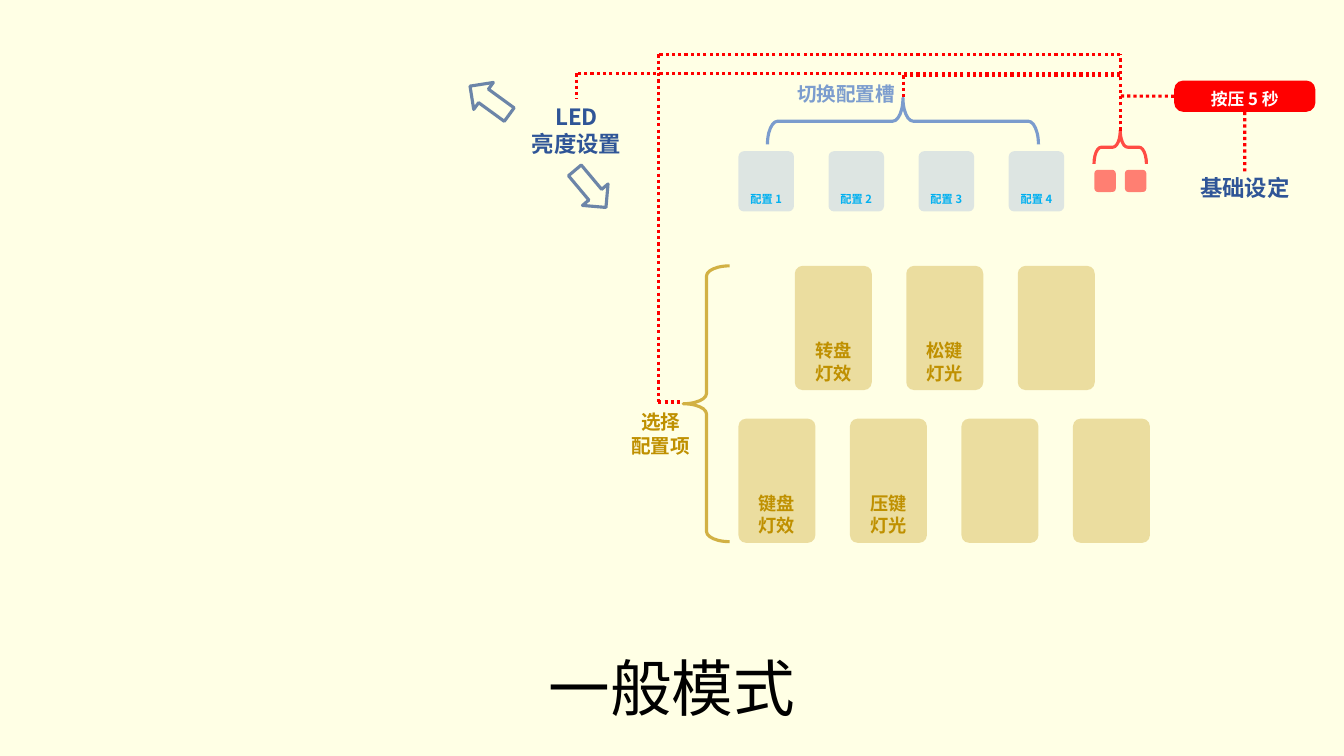
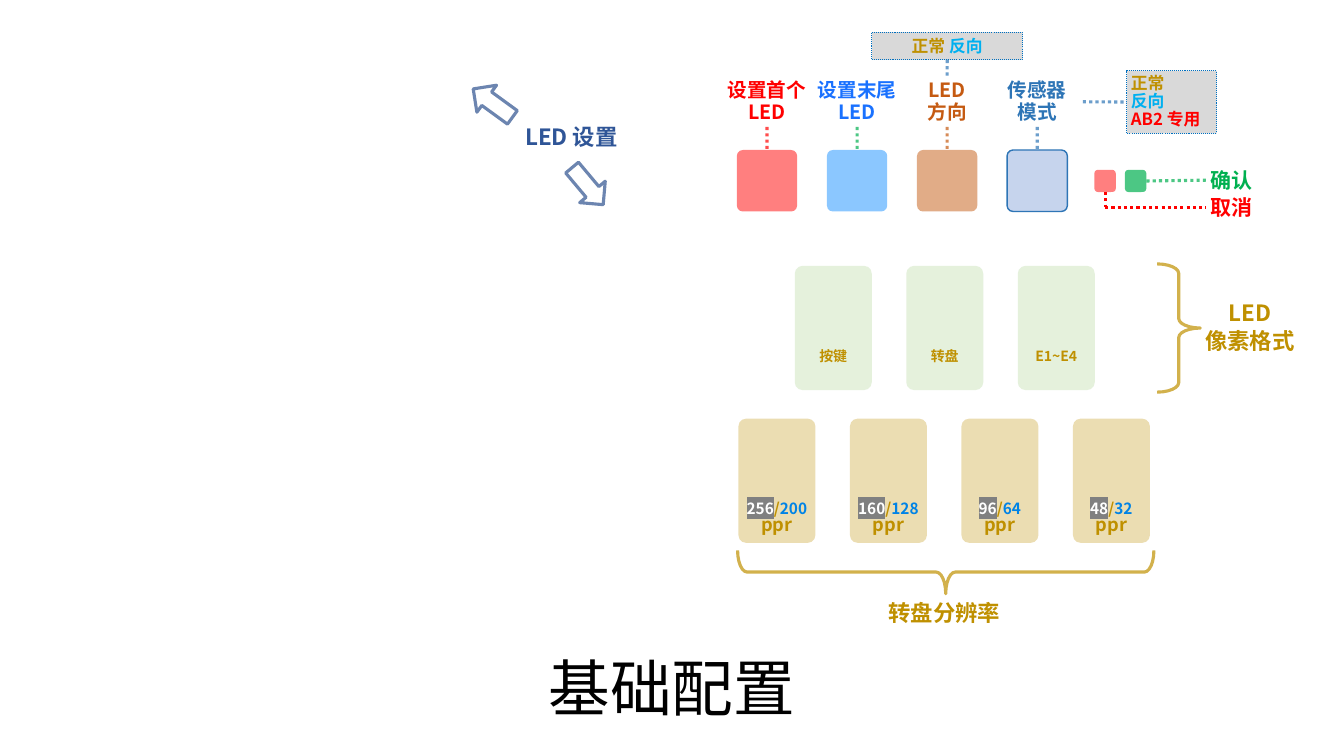
"""Build two slides explaining the keys of a controller: normal mode and basic setup."""
from itertools import pairwise

from lxml import etree
from pptx import Presentation
from pptx import util as u
from pptx.dml.color import RGBColor
from pptx.enum import dml, shapes, text
from pptx.oxml.ns import qn

FONT = "Noto Sans CJK SC"
LINE_HEIGHT = 1.22
BLACK = RGBColor(0x00, 0x00, 0x00)
WHITE = RGBColor(0xFF, 0xFF, 0xFF)
CREAM = RGBColor(0xFF, 0xFF, 0xE5)
RED = RGBColor(0xFF, 0x00, 0x00)
GREEN = RGBColor(0x00, 0xB0, 0x50)
LEAF = RGBColor(0xA9, 0xD1, 0x8E)
GOLD = RGBColor(0xBF, 0x90, 0x00)
BROWN = RGBColor(0xC5, 0x5A, 0x11)
NAVY = RGBColor(0x2F, 0x55, 0x97)
ARROW_BLUE = RGBColor(0x2F, 0x52, 0x8F)
BRACE_BLUE = RGBColor(0x44, 0x72, 0xC4)
SLOT_BLUE = RGBColor(0x8F, 0xAA, 0xDC)
SLOT_TITLE_BLUE = RGBColor(0x7C, 0x9D, 0xCE)
KEY_BLUE = RGBColor(0x19, 0x91, 0xFF)
LABEL_BLUE = RGBColor(0x19, 0x71, 0xFF)
STEEL = RGBColor(0x2E, 0x75, 0xB6)
SKY = RGBColor(0x00, 0xB0, 0xF0)
PPR_BLUE = RGBColor(0x00, 0x83, 0xE6)
BORDER_BLUE = RGBColor(0x00, 0x70, 0xC0)
LIGHT_GRAY = RGBColor(0xD9, 0xD9, 0xD9)
GRAY = RGBColor(0x80, 0x80, 0x80)

ROUND = shapes.MSO_SHAPE.ROUNDED_RECTANGLE
RECTANGLE = shapes.MSO_SHAPE.RECTANGLE
BRACE = shapes.MSO_SHAPE.LEFT_BRACE
ARROW = shapes.MSO_SHAPE.LEFT_ARROW
TOP, LEFT, BOTTOM, RIGHT = range(4)


def draw(slide, kind, box, fill=None, line=None, opacity=100, rotation=0, adjust=(),
         words="", size=16, colour=GOLD, rows=None, bold=True, pitch=1.0,
         anchor=text.MSO_ANCHOR.MIDDLE, align=text.PP_ALIGN.CENTER, bottom=0):
    """Add a preset shape, or a text box when kind is None, with its text."""
    place = [u.Cm(value) for value in box]
    if kind is None:
        shape = slide.shapes.add_textbox(*place)
    else:
        shape = slide.shapes.add_shape(kind, *place)
        shape.shadow.inherit = False
        shape.rotation = rotation
        for index, value in enumerate(adjust):
            shape.adjustments[index] = value
        if fill is None:
            shape.fill.background()
        else:
            shape.fill.solid()
            shape.fill.fore_color.rgb = fill
        if line is None:
            shape.line.fill.background()
        else:
            shape.line.color.rgb = line
            shape.line.width = u.Pt(2.25)
        if opacity < 100:
            for tint in shape._element.spPr.iter(qn("a:srgbClr")):
                etree.SubElement(tint, qn("a:alpha"), val=str(opacity * 1000))
    if not (words or rows):
        return shape
    frame = shape.text_frame
    frame.word_wrap = True
    frame.vertical_anchor = anchor
    frame.margin_left = frame.margin_right = u.Cm(0.1)
    frame.margin_top, frame.margin_bottom = 0, u.Cm(bottom)
    rows = rows or [[(row, size, colour)] for row in words.split("\n")]
    for index, row in enumerate(rows):
        paragraph = frame.add_paragraph() if index else frame.paragraphs[0]
        paragraph.alignment = align
        paragraph.line_spacing = u.Pt(round(max(part[1] for part in row) * LINE_HEIGHT * pitch, 1))
        for content, points, ink, *highlight in row:
            run = paragraph.add_run()
            run.text = content
            run.font.size = u.Pt(points)
            run.font.bold = bold
            run.font.color.rgb = ink
            run.font.name = FONT
            properties = run._r.get_or_add_rPr()
            etree.SubElement(properties, qn("a:ea"), typeface=FONT)
            for shade in highlight:
                marker = etree.Element(qn("a:highlight"))
                etree.SubElement(marker, qn("a:srgbClr"), val=str(shade))
                properties.find(qn("a:latin")).addprevious(marker)
    return shape


def link(slide, points, colour, opacity=100, start=None, end=None):
    """Run a dotted line through the points; start and end are (shape, side) joints."""
    segments = []
    for (x1, y1), (x2, y2) in pairwise(points):
        segment = slide.shapes.add_connector(
            shapes.MSO_CONNECTOR.STRAIGHT, u.Cm(x1), u.Cm(y1), u.Cm(x2), u.Cm(y2))
        segment.line.color.rgb = colour
        segment.line.width = u.Pt(2.25)
        segment.line.dash_style = dml.MSO_LINE.ROUND_DOT
        if opacity < 100:
            for tint in segment._element.spPr.iter(qn("a:srgbClr")):
                etree.SubElement(tint, qn("a:alpha"), val=str(opacity * 1000))
        etree.SubElement(segment._element.spPr, qn("a:effectLst"))
        segments.append(segment)
    if start:
        segments[0].begin_connect(*start)
    if end:
        segments[-1].end_connect(*end)


presentation = Presentation()
presentation.slide_width, presentation.slide_height = u.Cm(33.87), u.Cm(19.05)

KEY_WIDTH, KEY_HEIGHT, KEY_STEP, SLOT_STEP = 1.94, 3.13, 2.81, 2.27
UPPER = [(20.03 + KEY_STEP * i, 6.7, KEY_WIDTH, KEY_HEIGHT) for i in range(3)]
LOWER = [(18.61 + KEY_STEP * i, 10.55, KEY_WIDTH, KEY_HEIGHT) for i in range(4)]
CORNER = (0.1,)
CURVE = (0.22, 0.5)

pages = []
for title, background, second_square, second_opacity, arrows in (
    ("一般模式", CREAM, RED, 50, ((11.73, 2.11, 36), (14.27, 4.34, 230))),
    ("基础配置", WHITE, GREEN, 70, ((11.81, 2.18, 36), (14.2, 4.27, 230))),
):
    slide = presentation.slides.add_slide(presentation.slide_layouts[6])
    slide.background.fill.solid()
    slide.background.fill.fore_color.rgb = background
    draw(slide, None, (0, 16.54, 33.87, 2.5), words=title, size=44, colour=BLACK,
         bold=False, pitch=0.9, anchor=text.MSO_ANCHOR.TOP)
    squares = [
        draw(slide, ROUND, (left, 4.28, 0.54, 0.56), fill=tint, opacity=opacity)
        for left, tint, opacity in ((27.58, RED, 50), (28.35, second_square, second_opacity))
    ]
    for left, top, angle in arrows:
        draw(slide, ARROW, (left, top, 1.22, 0.84), line=ARROW_BLUE, opacity=70, rotation=angle)
    pages.append((slide, squares))

slide = pages[0][0]
for box, words in zip(UPPER + LOWER,
                      ("转盘\n灯效", "松键\n灯光", "", "键盘\n灯效", "压键\n灯光", "", "")):
    draw(slide, ROUND, box, fill=GOLD, opacity=30, adjust=CORNER, words=words, size=13,
         anchor=text.MSO_ANCHOR.BOTTOM, bottom=0.1)
for index in range(4):
    draw(slide, ROUND, (18.61 + SLOT_STEP * index, 3.81, 1.4, 1.52), fill=SLOT_BLUE, opacity=30,
         adjust=CORNER, words=f"配置 {index + 1}", size=8, colour=SKY,
         anchor=text.MSO_ANCHOR.BOTTOM, bottom=0.1)
for box, tint, angle in (
    ((27.81, 3.05, 0.84, 1.32), RED, 90),
    ((17.22, 6.7, 1.17, 6.95), GOLD, 0),
    ((22.17, -0.36, 1.17, 6.83), BRACE_BLUE, 90),
):
    draw(slide, BRACE, box, line=tint, opacity=70, rotation=angle, adjust=CURVE)
led_label = draw(slide, None, (13.08, 2.49, 2.9, 1.57), words="LED\n亮度设置", colour=NAVY)
basic_label = draw(slide, None, (29.97, 4.32, 2.8, 0.84), words="基础设定", colour=NAVY, pitch=0.92)
draw(slide, None, (15.27, 10.19, 2.77, 1.45), words="选择\n配置项", size=14)
draw(slide, None, (19.66, 1.93, 3.33, 0.86), words="切换配置槽", size=14, colour=SLOT_TITLE_BLUE)
press = draw(slide, ROUND, (29.59, 2.03, 3.56, 0.79), fill=RED, adjust=(0.29,),
             words="按压 5 秒", size=12, colour=WHITE, pitch=1.23)

tip = (28.23, 3.29)
link(slide, [tip, (28.23, 1.37), (16.59, 1.37), (16.59, 10.13), (17.22, 10.13)], RED)
link(slide, [tip, (28.23, 1.85), (14.53, 1.85), (14.53, 2.49)], RED, end=(led_label, TOP))
link(slide, [tip, (28.23, 1.9), (22.77, 1.9), (22.77, 2.49)], RED)
link(slide, [(29.59, 2.42), (28.23, 2.42), tip], RED, start=(press, LEFT))
link(slide, [(31.37, 2.82), (31.37, 4.32)], RED, start=(press, BOTTOM), end=(basic_label, TOP))

slide, (cancel_square, confirm_square) = pages[1]
labels = []
for index, (words, ink, fill, dots) in enumerate((
    ("设置首个\nLED", RED, RED, RED),
    ("设置末尾\nLED", LABEL_BLUE, KEY_BLUE, GREEN),
    ("LED\n方向", BROWN, BROWN, BROWN),
    ("传感器\n模式", STEEL, SLOT_BLUE, STEEL),
)):
    centre = 19.33 + SLOT_STEP * index
    key = draw(slide, ROUND, (centre - 0.76, 3.78, 1.52, 1.55), fill=fill, opacity=50, adjust=CORNER)
    label = draw(slide, None, (centre - 1.15, 1.93, 2.3, 1.27), words=words, size=14,
                 colour=ink, pitch=0.9)
    link(slide, [(centre, 3.2), (centre, 3.78)], dots, 70, (label, BOTTOM), (key, TOP))
    labels.append(label)
key.line.color.rgb = STEEL
key.line.width = u.Pt(1)

direction_box = draw(slide, RECTANGLE, (21.97, 0.81, 3.8, 0.7), fill=LIGHT_GRAY, line=BORDER_BLUE,
                     rows=[[("正常 ", 12, GOLD), ("反向", 12, SKY)]])
mode_box = draw(slide, RECTANGLE, (28.4, 1.78, 2.26, 1.58), fill=LIGHT_GRAY, line=BORDER_BLUE,
                rows=[[("正常", 12, GOLD)], [("反向", 12, SKY)], [("AB2 专用", 12, RED)]],
                pitch=0.89, align=text.PP_ALIGN.LEFT)
for option_box in (direction_box, mode_box):
    option_box.line.width = u.Pt(0.75)
    option_box.line.dash_style = dml.MSO_LINE.ROUND_DOT
link(slide, [(23.87, 1.51), (23.87, 1.93)], STEEL, 70, (direction_box, BOTTOM), (labels[2], TOP))
link(slide, [(27.29, 2.57), (28.4, 2.57)], STEEL, 70, (labels[3], RIGHT), (mode_box, LEFT))

confirm, cancel = [
    draw(slide, None, (30.4, top, 2.2, 0.64), words=words, size=15, colour=ink,
         align=text.PP_ALIGN.LEFT)
    for top, words, ink in ((4.22, "确认", GREEN), (4.9, "取消", RED))
]
link(slide, [(28.89, 4.56), (30.4, 4.54)], GREEN, 70, (confirm_square, RIGHT), (confirm, LEFT))
link(slide, [(27.85, 4.84), (27.85, 5.22), (30.4, 5.22)], RED,
     start=(cancel_square, BOTTOM), end=(cancel, LEFT))

for box, words in zip(UPPER, ("按键", "转盘", "E1~E4")):
    draw(slide, ROUND, box, fill=LEAF, opacity=30, adjust=CORNER, words=words, size=10,
         anchor=text.MSO_ANCHOR.BOTTOM, bottom=0.58)
for box, (high, low) in zip(LOWER, ((256, 200), (160, 128), (96, 64), (48, 32))):
    draw(slide, ROUND, box, fill=GOLD, opacity=30, adjust=CORNER, pitch=0.8,
         rows=[[(str(high), 11, WHITE, GRAY), ("/", 11, GOLD), (str(low), 11, PPR_BLUE)],
               [("ppr", 13, GOLD)]],
         anchor=text.MSO_ANCHOR.BOTTOM, bottom=0.13)
for box, angle in (((23.29, 9.17, 1.09, 10.49), 270), ((29.16, 6.65, 1.09, 3.23), 180)):
    draw(slide, BRACE, box, line=GOLD, opacity=70, rotation=angle, adjust=CURVE)
draw(slide, None, (20.9, 14.99, 5.8, 0.89), words="转盘分辨率")
draw(slide, None, (29.85, 7.44, 3.3, 1.57), words="LED\n像素格式")
draw(slide, None, (12.95, 3, 2.9, 0.89), words="LED 设置", colour=NAVY)

presentation.save("out.pptx")
